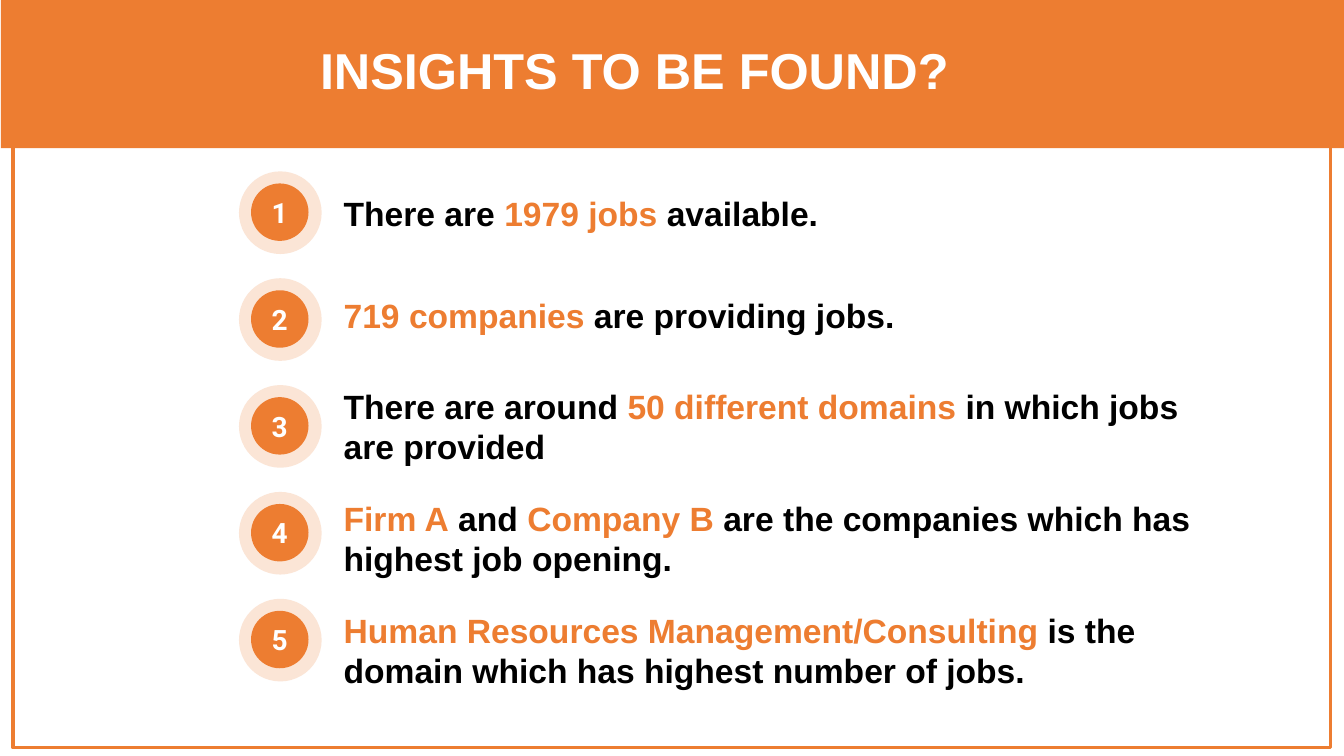
from dataclasses import dataclass

from pptx import Presentation
from pptx.dml.color import RGBColor
from pptx.enum.shapes import MSO_SHAPE as SHAPE
from pptx.enum.text import MSO_ANCHOR as ANCHOR, MSO_AUTO_SIZE as AUTO, PP_ALIGN as ALIGN
from pptx.util import Emu, Pt

PX = 9144  # 100 px to the inch


@dataclass(frozen=True)
class Theme:
    accent: str = "ED7D31"
    ring: str = "FBE5D6"
    white: str = "FFFFFF"
    text: str = "000000"
    font: str = "Arial"
    number_font: str = "Roboto"
    title_size: int = 36
    body_size: int = 24
    number_size: int = 20
    frame_width: float = 2.25


THEME = Theme()
RING, DISC, ROW_PITCH = 82, 57, 106
TEXT_LEFT, TEXT_WIDTH = 94, 869

# (text top within the list, text height, wording with highlights between asterisks)
INSIGHTS = [
    (16, 50, "There are *1979 jobs *available."),
    (118, 50, "*719 companies *are providing jobs."),
    (208, 91, "There are around *50 different domains *in which jobs are provided"),
    (319, 91, "*Firm A* and *Company B *are the companies which has highest job opening."),
    (430, 91, "*Human Resources Management/Consulting *is the domain "
              "which has highest number of jobs."),
]


def px(*lengths):
    return [Emu(n * PX) for n in lengths]


def rgb(color):
    return RGBColor.from_string(color)


def add_filled(slide, kind, box, fill, line=None):
    sp = slide.shapes.add_shape(kind, *px(*box))
    sp.shadow.inherit = False
    sp.fill.solid()
    sp.fill.fore_color.rgb = rgb(fill)
    if line:
        sp.line.color.rgb = rgb(line)
        sp.line.width = Pt(THEME.frame_width)
    else:
        sp.line.fill.background()
    return sp


def add_run(p, text, size, color, font=THEME.font):
    r = p.add_run()
    r.text = text
    r.font.name = font
    r.font.size = Pt(size)
    r.font.bold = True
    r.font.color.rgb = rgb(color)


def add_label(slide, box):
    """Add a wrapping text box and return its first paragraph."""
    tf = slide.shapes.add_textbox(*px(*box)).text_frame
    tf.word_wrap = True
    tf.auto_size = AUTO.SHAPE_TO_FIT_TEXT
    return tf.paragraphs[0]


def add_banner(slide, box, title):
    left, top, _, _ = box
    add_filled(slide, SHAPE.RECTANGLE, box, THEME.accent)
    p = add_label(slide, (left + 282, top + 38, 693, 71))
    p.alignment = ALIGN.CENTER
    add_run(p, title, THEME.title_size, THEME.white)


def add_badge(slide, left, top, number):
    inset = (RING - DISC) // 2
    add_filled(slide, SHAPE.OVAL, (left, top, RING, RING), THEME.ring)
    disc = add_filled(slide, SHAPE.OVAL, (left + inset, top + inset, DISC, DISC), THEME.accent)
    tf = disc.text_frame
    tf.margin_left = tf.margin_right = tf.margin_top = tf.margin_bottom = 0
    tf.vertical_anchor = ANCHOR.MIDDLE
    p = tf.paragraphs[0]
    p.alignment = ALIGN.CENTER
    add_run(p, str(number), THEME.number_size, THEME.white, THEME.number_font)


def add_insights(slide, left, top):
    for i, (text_top, height, wording) in enumerate(INSIGHTS):
        add_badge(slide, left, top + i * ROW_PITCH, i + 1)
        p = add_label(slide, (left + TEXT_LEFT, top + text_top, TEXT_WIDTH, height))
        for j, part in enumerate(wording.split("*")):
            if part:
                add_run(p, part, THEME.body_size, THEME.accent if j % 2 else THEME.text)


def main():
    prs = Presentation()
    prs.slide_width, prs.slide_height = px(1333, 750)
    slide = prs.slides.add_slide(prs.slide_layouts[6])
    add_filled(slide, SHAPE.RECTANGLE, (13, 9, 1307, 733), THEME.white, THEME.accent)
    add_banner(slide, (1, -4, 1333, 151), "INSIGHTS TO BE FOUND?")
    add_insights(slide, 237, 170)
    prs.save("out.pptx")


if __name__ == "__main__":
    main()
